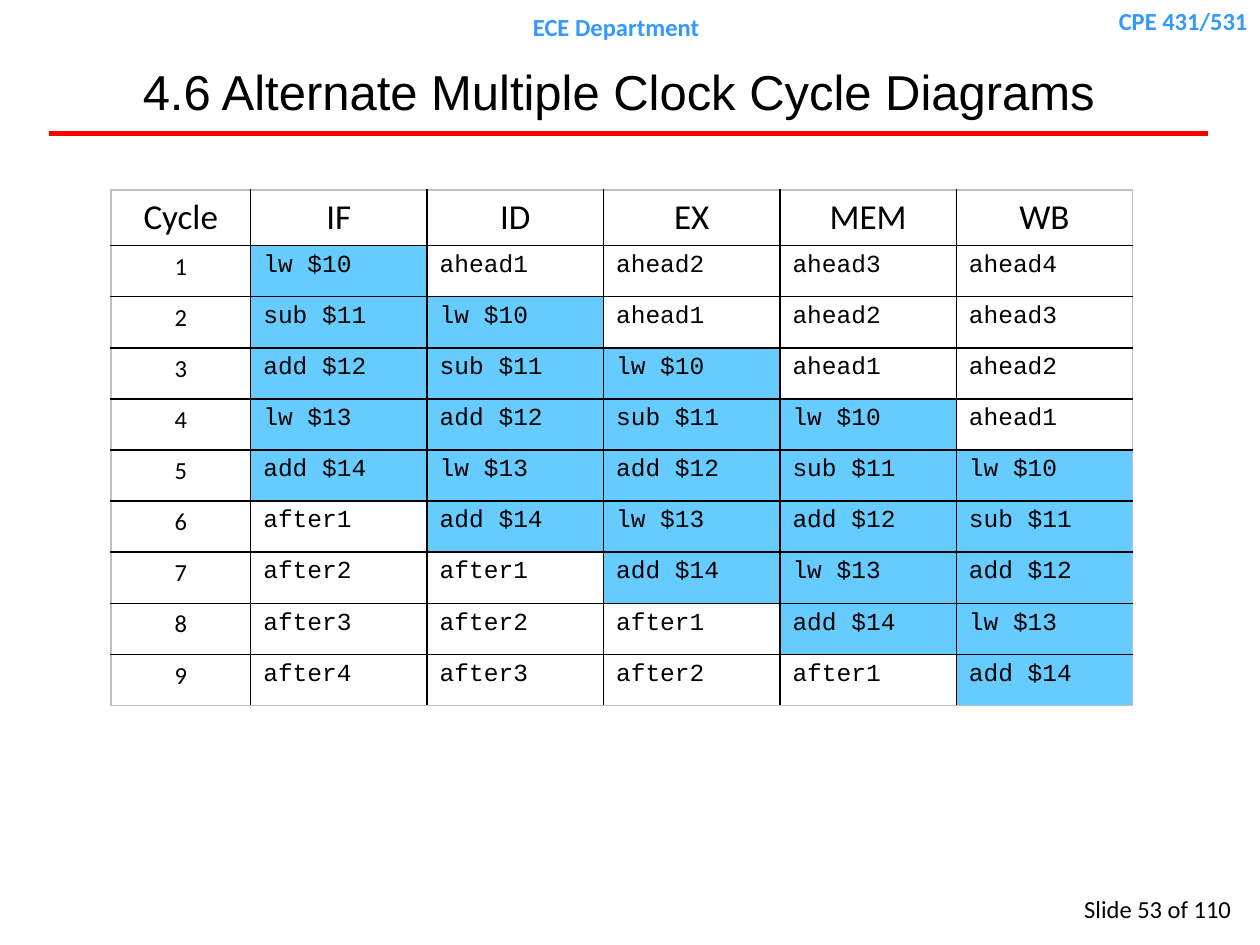
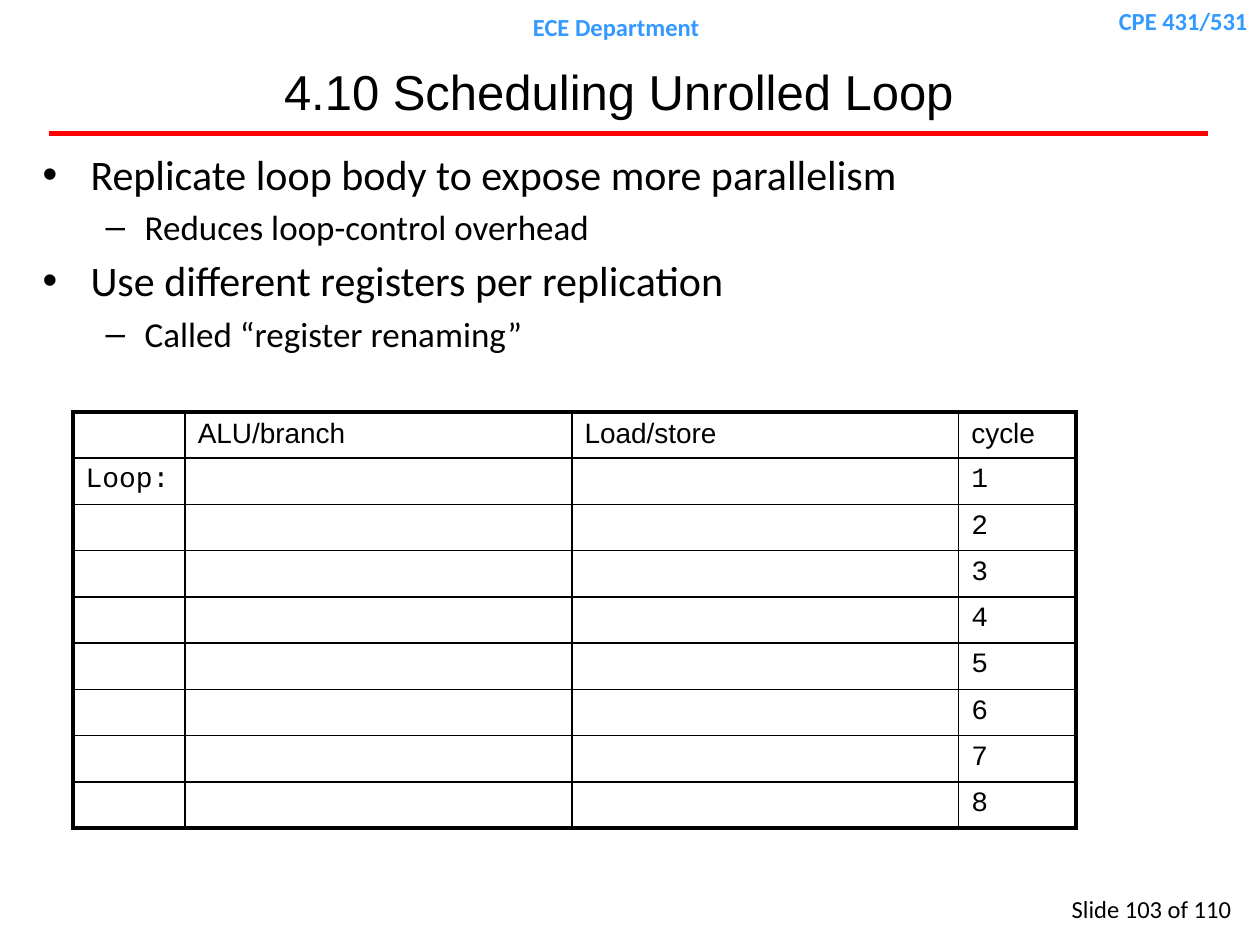
from dataclasses import dataclass

import pptx
import pptx.dml.color
import pptx.enum.shapes
import pptx.enum.text
import pptx.oxml.ns
import pptx.util
from lxml import etree
from pptx.util import Inches

ALIGN = pptx.enum.text.PP_ALIGN
ANCHOR = pptx.enum.text.MSO_ANCHOR
AUTO_SIZE = pptx.enum.text.MSO_AUTO_SIZE

BLACK, RED, HEADER_BLUE, ACTIVE_BLUE = "000000", "FF0000", "3399FF", "66CCFF"
OUTER_GRAY = "C0C0C0"
SANS, TITLE_FONT, MONO = "Calibri", "Arial", "Courier New"
TITLE_ONLY = 5
SLIDE_TOTAL = 110


@dataclass
class Style:
    font: str = SANS
    size: float = 14
    color: str = BLACK
    bold: bool = False
    align: ALIGN = ALIGN.LEFT


@dataclass
class Label:
    left: float
    top: float
    width: float
    height: float
    style: Style
    text: str = ""


@dataclass
class Bullet:
    text: str
    level: int = 0


@dataclass
class BulletLevel:
    mark: str
    size: float
    margin: float
    hang: float


@dataclass
class Cell:
    text: str
    style: Style
    fill: str = ""


@dataclass
class Pen:
    color: str
    width: float


@dataclass
class Grid:
    left: float
    top: float
    widths: list[float]
    heights: list[float]
    outer: Pen
    under_header: Pen
    inner: Pen


HEADER_LABELS = [
    Label(7.72, 0, 2.28, 0.34,
          Style(color=HEADER_BLUE, bold=True, align=ALIGN.RIGHT), "CPE 431/531"),
    Label(3.44, 0.05, 2.9, 0.34,
          Style(color=HEADER_BLUE, bold=True, align=ALIGN.CENTER), "ECE Department"),
]
SLIDE_NUMBER = Label(7.72, 7.05, 2.15, 0.57, Style(align=ALIGN.RIGHT))
TITLE = Label(0, 0.38, 9.82, 0.69, Style(TITLE_FONT, 28, align=ALIGN.CENTER))
BULLET_LEVELS = [BulletLevel("•", 24, 0.38, 0.38), BulletLevel("–", 20, 0.81, 0.31)]


def rgb(color: str) -> pptx.dml.color.RGBColor:
    return pptx.dml.color.RGBColor.from_string(color)


def add_xml(parent, tag: str, **attributes: str):
    return etree.SubElement(parent, pptx.oxml.ns.qn(tag), **attributes)


def write(p, text: str, style: Style) -> None:
    p.alignment = style.align
    if not text:
        add_xml(p._p, "a:endParaRPr", sz=str(int(style.size * 100)))
        return
    r = p.add_run()
    r.text = text
    formats = {"name": style.font, "size": pptx.util.Pt(style.size), "bold": style.bold}
    for name, value in formats.items():
        setattr(r.font, name, value)
    r.font.color.rgb = rgb(style.color)


def add_label(s, label: Label, text: str = "") -> None:
    box = s.shapes.add_textbox(*map(Inches, (label.left, label.top, label.width, label.height)))
    box.text_frame.word_wrap = True
    write(box.text_frame.paragraphs[0], text or label.text, label.style)


def add_title(s, text: str) -> None:
    title = s.shapes.title
    for name in ("left", "top", "width", "height"):
        setattr(title, name, Inches(getattr(TITLE, name)))
    tf = title.text_frame
    formats = {"word_wrap": True, "auto_size": AUTO_SIZE.NONE, "vertical_anchor": ANCHOR.MIDDLE}
    for name, value in formats.items():
        setattr(tf, name, value)
    write(tf.paragraphs[0], text, TITLE.style)


def add_title_rule(s) -> None:
    rule = s.shapes.add_connector(pptx.enum.shapes.MSO_CONNECTOR.STRAIGHT,
                                  *map(Inches, (0.39, 1.06, 9.59, 1.06)))
    rule.line.color.rgb = rgb(RED)
    rule.line.width = pptx.util.Pt(3)
    add_xml(rule._element.spPr, "a:effectLst")


def add_slide(prs, title: str, number: int):
    """Add a slide with the shared header, title, rule and slide number."""
    s = prs.slides.add_slide(prs.slide_layouts[TITLE_ONLY])
    add_title_rule(s)
    for label in HEADER_LABELS:
        add_label(s, label)
    add_label(s, SLIDE_NUMBER, f"Slide {number} of {SLIDE_TOTAL}")
    add_title(s, title)
    return s


def add_bullets(s, bullets: list[Bullet]) -> None:
    tf = s.shapes.add_textbox(*map(Inches, (0.24, 1.13, 9.05, 2.1))).text_frame
    tf.word_wrap = True
    for i, bullet in enumerate(bullets):
        level = BULLET_LEVELS[bullet.level]
        p = tf.add_paragraph() if i else tf.paragraphs[0]
        p.level = bullet.level
        if i:
            p.space_before = pptx.util.Pt(4)
        pPr = p._p.get_or_add_pPr()
        pPr.set("marL", str(Inches(level.margin)))
        pPr.set("indent", str(-Inches(level.hang)))
        add_xml(pPr, "a:buFont", typeface=TITLE_FONT)
        add_xml(pPr, "a:buChar", char=level.mark)
        write(p, bullet.text, Style(size=level.size))


def set_borders(cell, pens: dict[str, Pen]) -> None:
    """Draw the sides L, R, T and B, which must precede the cell's fill."""
    tcPr = cell._tc.get_or_add_tcPr()
    for i, (side, pen) in enumerate(pens.items()):
        line = add_xml(tcPr, f"a:ln{side}", w=str(pptx.util.Pt(pen.width)))
        add_xml(add_xml(line, "a:solidFill"), "a:srgbClr", val=pen.color)
        tcPr.insert(i, line)


def add_grid(s, grid: Grid, rows: list[list[Cell]]) -> None:
    size = (sum(grid.widths), sum(grid.heights))
    table = s.shapes.add_table(len(rows), len(grid.widths),
                               *map(Inches, (grid.left, grid.top, *size))).table
    table.first_row = table.horz_banding = False
    for column, width in zip(table.columns, grid.widths):
        column.width = Inches(width)
    for row, height in zip(table.rows, grid.heights):
        row.height = Inches(height)

    last_row, last_column = len(rows) - 1, len(grid.widths) - 1
    row_pens = [grid.outer, grid.under_header] + [grid.inner] * (last_row - 1) + [grid.outer]
    column_pens = [grid.outer] + [grid.inner] * last_column + [grid.outer]
    for i, row in enumerate(rows):
        for j, content in enumerate(row):
            cell = table.cell(i, j)
            if content.fill:
                cell.fill.solid()
                cell.fill.fore_color.rgb = rgb(content.fill)
            else:
                cell.fill.background()
            set_borders(cell, {"L": column_pens[j], "R": column_pens[j + 1],
                               "T": row_pens[i], "B": row_pens[i + 1]})
            write(cell.text_frame.paragraphs[0], content.text, content.style)


def pipeline_rows() -> list[list[Cell]]:
    """Each cycle moves every instruction one stage to the right."""
    stages = ["IF", "ID", "EX", "MEM", "WB"]
    program = ["lw $10", "sub $11", "add $12", "lw $13", "add $14"]
    stream = ([f"ahead{n}" for n in range(4, 0, -1)] + program
              + [f"after{n}" for n in range(1, 5)])
    heading = Style(size=20, align=ALIGN.CENTER)
    rows = [[Cell(text, heading) for text in ["Cycle", *stages]]]
    for cycle in range(1, 10):
        row = [Cell(str(cycle), Style(align=ALIGN.CENTER))]
        for stage in range(len(stages)):
            instruction = stream[cycle + 3 - stage]
            fill = ACTIVE_BLUE if instruction in program else ""
            row.append(Cell(instruction, Style(MONO), fill))
        rows.append(row)
    return rows


def schedule_rows() -> list[list[Cell]]:
    heading, code = Style(TITLE_FONT, 16), Style(MONO, 16)
    rows = [[Cell(text, heading) for text in ["", "ALU/branch", "Load/store", "cycle"]]]
    for cycle in range(1, 9):
        loop_label = "Loop:" if cycle == 1 else ""
        rows.append([Cell(text, code) for text in [loop_label, "", "", str(cycle)]])
    return rows


def main() -> None:
    prs = pptx.Presentation()
    prs.slide_width, prs.slide_height = Inches(10), Inches(7.5)
    thin = Pen(BLACK, 1)

    s = add_slide(prs, "4.6 Alternate Multiple Clock Cycle Diagrams", 53)
    add_grid(s, Grid(0.88, 1.51, [1.11] + [1.4] * 5, [0.44] + [3.65 / 9] * 9,
                     Pen(OUTER_GRAY, 1), thin, thin), pipeline_rows())

    s = add_slide(prs, "4.10 Scheduling Unrolled Loop", 103)
    add_bullets(s, [
        Bullet("Replicate loop body to expose more parallelism"),
        Bullet("Reduces loop-control overhead", 1),
        Bullet("Use different registers per replication"),
        Bullet("Called “register renaming”", 1),
    ])
    add_grid(s, Grid(0.58, 3.27, [0.89, 3.07, 3.07, 0.93], [3.3 / 9] * 9,
                     Pen(BLACK, 2.25), Pen(BLACK, 1.5), thin), schedule_rows())

    prs.save("out.pptx")


if __name__ == "__main__":
    main()
